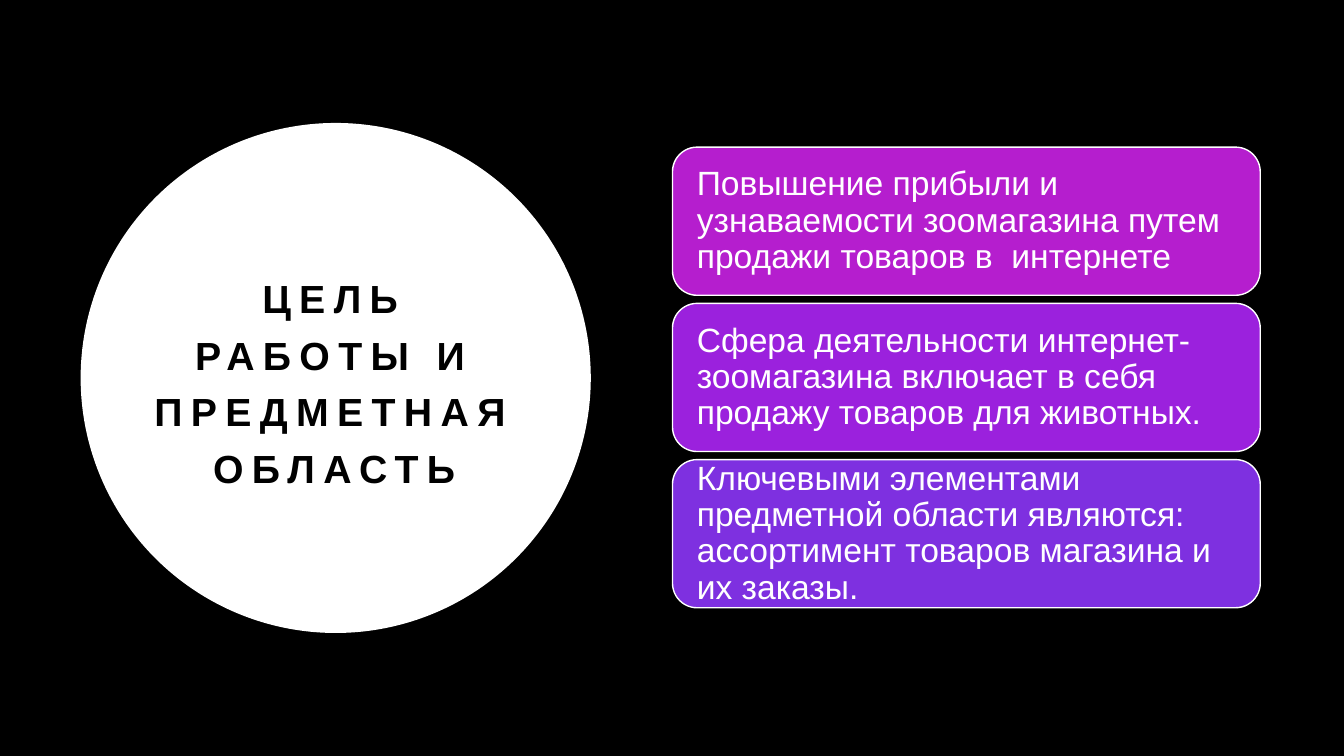
"""Build the slide on the purpose and subject area of the work."""
from pptx import Presentation
from pptx.dml.color import RGBColor
from pptx.enum import shapes, text
from pptx.util import Inches, Pt

BLACK = RGBColor(0x00, 0x00, 0x00)
WHITE = RGBColor(0xFF, 0xFF, 0xFF)
MAGENTA = RGBColor(0xB5, 0x1E, 0xCE)
PURPLE = RGBColor(0x9B, 0x21, 0xDD)
VIOLET = RGBColor(0x7E, 0x30, 0xE0)

HEADING = "ЦЕЛЬ РАБОТЫ И ПРЕДМЕТНАЯ ОБЛАСТЬ"
POINTS = [
    ("Повышение прибыли и узнаваемости зоомагазина путем продажи товаров в  интернете", MAGENTA),
    ("Сфера деятельности интернет-зоомагазина включает в себя продажу товаров для животных.", PURPLE),
    ("Ключевыми элементами предметной области являются: ассортимент товаров магазина и их заказы.", VIOLET),
]
CIRCLE = (0.8, 1.22, 5.06, 5.06)
HEADING_AREA = (1.32, 2.5, 3.99, 2.5)
CARD_LEFT, CARD_TOP, CARD_WIDTH, CARD_HEIGHT = 6.67, 1.46, 5.83, 1.47
CARD_STEP = 1.55
CARD_INSET = 0.17


def add_panel(slide, preset, area, color):
    panel = slide.shapes.add_shape(preset, *map(Inches, area))
    panel.shadow.inherit = False
    panel.fill.solid()
    panel.fill.fore_color.rgb = color
    panel.line.fill.background()
    return panel


def write(frame, wording, size, color, align, spacing):
    frame.word_wrap = True
    frame.vertical_anchor = text.MSO_ANCHOR.MIDDLE
    paragraph = frame.paragraphs[0]
    paragraph.text = wording
    paragraph.alignment = align
    paragraph.line_spacing = spacing
    paragraph.font.name = "Arial"
    paragraph.font.size = Pt(size)
    paragraph.font.color.rgb = color
    return paragraph


def main():
    deck = Presentation()
    deck.slide_width, deck.slide_height = Inches(13.33), Inches(7.5)
    slide = deck.slides.add_slide(deck.slide_layouts[6])
    slide.background.fill.solid()
    slide.background.fill.fore_color.rgb = BLACK

    add_panel(slide, shapes.MSO_SHAPE.OVAL, CIRCLE, WHITE)
    heading_area = slide.shapes.add_textbox(*map(Inches, HEADING_AREA))
    heading = write(heading_area.text_frame, HEADING, 28, BLACK, text.PP_ALIGN.CENTER, 1.2)
    heading.font.bold = True
    heading.runs[0]._r.get_or_add_rPr().set("spc", "600")

    for row, (wording, color) in enumerate(POINTS):
        area = (CARD_LEFT, CARD_TOP + row * CARD_STEP, CARD_WIDTH, CARD_HEIGHT)
        card = add_panel(slide, shapes.MSO_SHAPE.ROUNDED_RECTANGLE, area, color)
        card.line.color.rgb = WHITE
        card.line.width = Pt(1)
        frame = card.text_frame
        frame.margin_left = frame.margin_right = Inches(CARD_INSET)
        frame.margin_top = frame.margin_bottom = Inches(CARD_INSET)
        write(frame, wording, 24, WHITE, text.PP_ALIGN.LEFT, 0.9)

    deck.save("out.pptx")


if __name__ == "__main__":
    main()
